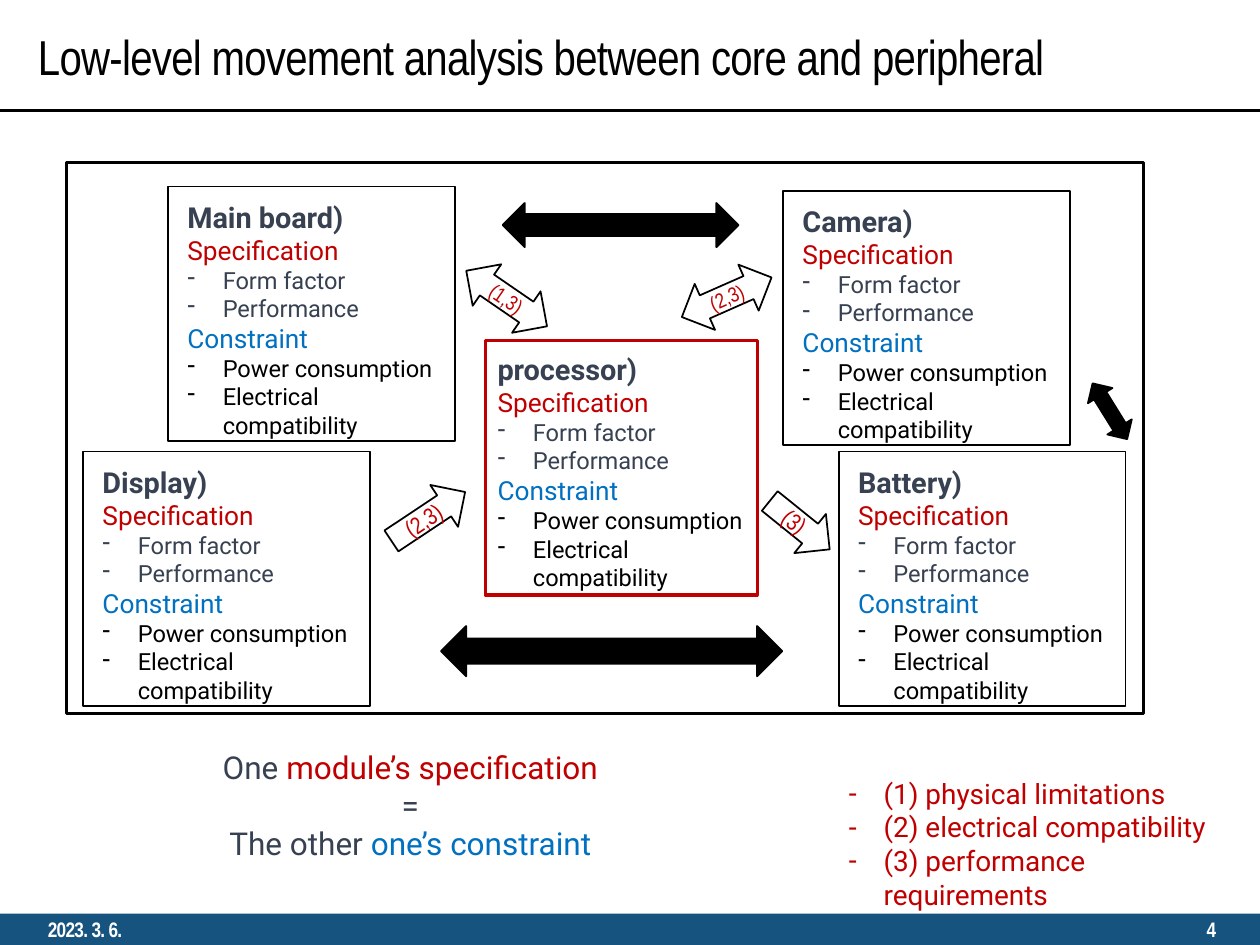
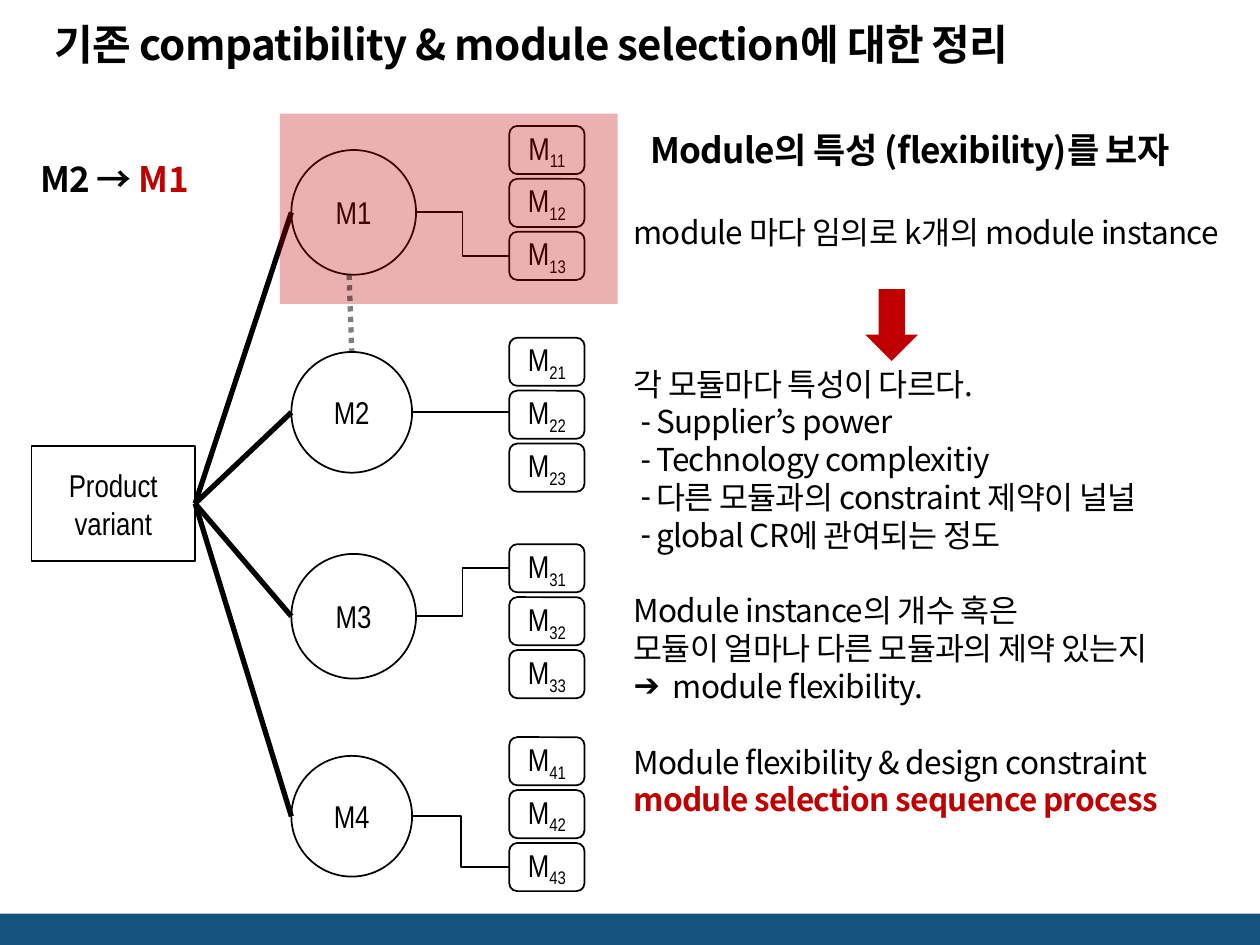
import pptx
import pptx.dml.color
import pptx.enum.dml
import pptx.enum.shapes
import pptx.enum.text
import pptx.oxml.ns
import pptx.util
from lxml import etree

Pt = pptx.util.Pt
SHAPE = pptx.enum.shapes.MSO_SHAPE
CONNECTOR = pptx.enum.shapes.MSO_CONNECTOR
ALIGN = pptx.enum.text.PP_ALIGN
ANCHOR = pptx.enum.text.MSO_ANCHOR

COLORS = {
    "black": "000000", "white": "FFFFFF", "band": "16537F",
    "slate": "374151", "red": "C00000", "blue": "0070C0",
}
NARROW, ROBOTO, KOREAN = "Arial Narrow", "Roboto", "Noto Sans CJK KR"
TITLE_AND_BODY = 1
INSET = (7.2, 3.6)


def rgb(name):
    return pptx.dml.color.RGBColor.from_string(COLORS[name])


def sub(parent, tag, **attributes):
    return etree.SubElement(parent, pptx.oxml.ns.qn(tag), attributes)


def set_alpha(fill_parent, percent):
    color = fill_parent.find(".//" + pptx.oxml.ns.qn("a:srgbClr"))
    sub(color, "a:alpha", val=str(percent * 1000))


def add_text(frame, text, font=NARROW, size=18, color="black", bold=False,
             align=ALIGN.LEFT, before=0, bullet=None, hang=20.25, indent=0,
             tracking=0):
    """Append a paragraph; text is a string or a list of (string, format)."""
    paragraph = frame.paragraphs[0]
    if paragraph.runs:
        paragraph = frame.add_paragraph()
    paragraph.alignment = align
    paragraph.space_before = Pt(before)
    properties = paragraph._p.get_or_add_pPr()
    margin = indent + hang if bullet else 0
    properties.set("marL", str(Pt(margin)))
    properties.set("indent", str(Pt(-hang if bullet else 0)))
    if bullet:
        sub(properties, "a:buChar", char=bullet)
    else:
        sub(properties, "a:buNone")
    for words, special in [(text, {})] if isinstance(text, str) else text:
        run = paragraph.add_run()
        run.text = words
        run.font.name = font
        run.font.size = Pt(size)
        run.font.bold = special.get("bold", bold)
        run.font.color.rgb = rgb(special.get("color", color))
        run_properties = run.font._element
        sub(run_properties, "a:ea", typeface=font)
        if tracking:
            run_properties.set("spc", str(round(tracking * 100)))
        if "baseline" in special:
            run_properties.set("baseline", str(special["baseline"] * 1000))


class Deck:
    def __init__(self):
        self.file = pptx.Presentation()
        self.file.slide_width, self.file.slide_height = Pt(720), Pt(540)
        self.slide = None

    def new_slide(self):
        layout = self.file.slide_layouts[TITLE_AND_BODY]
        self.slide = self.file.slides.add_slide(layout)
        self.shape(SHAPE.RECTANGLE, 0, 522, 720, 18, fill="band", line=None)

    def frame(self, holder, inset=INSET, anchor=ANCHOR.TOP, wrap=True):
        frame = holder.text_frame
        frame.margin_left = frame.margin_right = Pt(inset[0])
        frame.margin_top = frame.margin_bottom = Pt(inset[1])
        frame.vertical_anchor = anchor
        frame.word_wrap = wrap
        frame.auto_size = pptx.enum.text.MSO_AUTO_SIZE.NONE
        return frame

    def placeholder(self, index, left, top, width, height, **layout):
        holder = self.slide.placeholders[index]
        holder.left, holder.top = Pt(left), Pt(top)
        holder.width, holder.height = Pt(width), Pt(height)
        return self.frame(holder, **layout)

    def title(self, text, left, top, width, height, inset=INSET, **style):
        frame = self.placeholder(0, left, top, width, height, inset=inset,
                                 anchor=ANCHOR.MIDDLE)
        add_text(frame, text, tracking=-0.4, **style)

    def body(self, left, top, width, height, **layout):
        return self.placeholder(1, left, top, width, height, **layout)

    def textbox(self, left, top, width, height, parent=None, **layout):
        box = (parent or self.slide).shapes.add_textbox(
            Pt(left), Pt(top), Pt(width), Pt(height))
        return self.frame(box, **layout)

    def shape(self, kind, left, top, width, height, fill=None, line="black",
              weight=1, alpha=None, rotation=0, parent=None):
        shape = (parent or self.slide).shapes.add_shape(
            kind, Pt(left), Pt(top), Pt(width), Pt(height))
        shape.shadow.inherit = False
        shape.rotation = rotation
        if fill:
            shape.fill.solid()
            shape.fill.fore_color.rgb = rgb(fill)
            if alpha:
                set_alpha(shape._element.spPr, alpha)
        else:
            shape.fill.background()
        if line:
            shape.line.color.rgb = rgb(line)
            shape.line.width = Pt(weight)
        else:
            shape.line.fill.background()
        return shape

    def label(self, shape, *lines, **style):
        frame = self.frame(shape, (0, 0), ANCHOR.MIDDLE, wrap=False)
        for line in lines:
            add_text(frame, line, align=ALIGN.CENTER, **style)

    def connector(self, start, end, weight=1, kind=CONNECTOR.STRAIGHT):
        link = self.slide.shapes.add_connector(
            kind, *(Pt(value) for value in (*start, *end)))
        link.line.color.rgb = rgb("black")
        link.line.width = Pt(weight)
        sub(link._element.spPr, "a:effectLst")
        return link

    def module_card(self, name, left, top, width=164, offset=(4, 4),
                    line="black", weight=1):
        card = self.slide.shapes.add_group_shape()
        self.shape(SHAPE.RECTANGLE, left, top, width, 145.5, line=line,
                   weight=weight, parent=card)
        frame = self.textbox(left + offset[0], top + offset[1], 155.5, 145.5,
                             parent=card)
        add_text(frame, name, font=ROBOTO, size=16.5, color="slate", bold=True)
        for heading, heading_color, items, item_color in MODULE_SECTIONS:
            add_text(frame, heading, font=ROBOTO, size=15, color=heading_color)
            for item in items:
                add_text(frame, item, font=ROBOTO, size=13.5, color=item_color,
                         bullet="-")


MODULE_SECTIONS = [
    ("Specification", "red", ["Form factor", "Performance"], "slate"),
    ("Constraint", "blue", ["Power consumption", "Electrical compatibility"],
     "black"),
]


def movement_slide(deck):
    deck.new_slide()
    deck.title("Low-level movement analysis between core and peripheral",
               14.5, 8.75, 675, 46, size=28)
    deck.connector((0, 63.25), (720, 63.25), weight=2)

    # Footer
    for text, left, align in [("2023. 3. 6.", 20.25, ALIGN.LEFT),
                              ("4", 540, ALIGN.RIGHT)]:
        footer = deck.textbox(left, 522, 162, 18, anchor=ANCHOR.MIDDLE)
        add_text(footer, text, size=12, color="white", bold=True, align=align,
                 tracking=-0.4)

    # Core module and its peripherals
    deck.shape(SHAPE.RECTANGLE, 38, 93, 615.5, 314.75, weight=1.75)
    deck.module_card("processor)", 277.25, 194.5, width=155.5, offset=(0, 3),
                     line="red", weight=1.75)
    for name, left, top in [("Main board)", 96, 106.5), ("Camera)", 447.5, 109),
                            ("Display)", 47.5, 258), ("Battery)", 479.25, 258)]:
        deck.module_card(name, left, top)

    # Relations between core and peripherals
    both, right = SHAPE.LEFT_RIGHT_ARROW, SHAPE.RIGHT_ARROW
    for kind, reasons, left, top, width, rotation, size in [
            (both, "(1,3)", 261.5, 156.25, 56, 34.5, 12),
            (both, "(2,3)", 387.25, 155.5, 56, 336.2, 12),
            (right, "(2,3)", 219.5, 280.75, 50.5, 326.4, 13.5),
            (right, "(3)", 435, 285.75, 44, 38.9, 13.5)]:
        relation = deck.shape(kind, left, top, width, 28.75, rotation=rotation)
        deck.label(relation, reasons, size=size, color="red")

    # Relations among peripherals
    for left, top, width, height, rotation in [
            (287.25, 116, 134.75, 25.25, 0), (252, 357.75, 195, 28.75, 0),
            (615.5, 226.75, 37.5, 16.5, 238.2)]:
        deck.shape(both, left, top, width, height, fill="black",
                   rotation=rotation)

    # Rule and legend
    rule = deck.textbox(38, 424, 393, 73)
    for line in [[("One ", {}), ("module’s specification", {"color": "red"})],
                 "=",
                 [("The other ", {}), ("one’s constraint", {"color": "blue"})]]:
        add_text(rule, line, font=ROBOTO, color="slate", align=ALIGN.CENTER)
    legend = deck.body(477.5, 440, 242.5, 68)
    for reason in ["(1) physical limitations", "(2) electrical compatibility",
                   "(3) performance requirements"]:
        add_text(legend, reason, font=ROBOTO, size=16, color="red", bullet="-")


def selection_slide(deck):
    deck.new_slide()
    deck.title("기존 compatibility & module selection에 대한 정리",
               31, 10.75, 565, 29, inset=(0, 0), font=KOREAN, size=24, bold=True)

    # Product variant, its modules and their instances
    product = deck.shape(SHAPE.RECTANGLE, 18, 255, 93.5, 65.5)
    deck.label(product, "Product", "variant")
    module_left, instance_left, instance_height = 166.5, 291, 27.5
    circles = []
    for number, (diameter, first_top, chosen) in enumerate(
            [(71.25, 72, 3), (69, 193, 2), (71.25, 311, 1), (69, 421.25, 3)], 1):
        top = 85.75 + 115.4 * (number - 1)
        middle = top + diameter / 2
        circle = deck.shape(SHAPE.OVAL, module_left, top, diameter, diameter)
        deck.label(circle, f"M{number}")
        circles.append(circle)
        branch = deck.connector((111.5, 287.75), (module_left, middle), weight=3)
        branch.begin_connect(product, 3)
        for k in range(1, 4):
            instance_top = first_top + 30.25 * (k - 1)
            instance = deck.shape(SHAPE.ROUNDED_RECTANGLE, instance_left,
                                  instance_top, 43, instance_height,
                                  fill="white")
            deck.label(instance, [("M", {}), (f"{number}{k}", {"baseline": -25})])
            if k == chosen:
                target = instance_top + instance_height / 2
                if abs(target - middle) < 2:
                    target = middle
                deck.connector((module_left + diameter, middle),
                               (instance_left, target), kind=CONNECTOR.ELBOW)

    # Dependency of M1 on M2
    deck.shape(SHAPE.RECTANGLE, 160, 65, 193, 108.75, fill="red", line=None,
               alpha=31)
    dependency = deck.connector((199.5, 157), (201, 201.5), weight=3)
    dependency.end_connect(circles[1], 0)
    dependency.line.dash_style = pptx.enum.dml.MSO_LINE.ROUND_DOT
    set_alpha(dependency._element.spPr, 49)
    korean = {"font": KOREAN, "tracking": -0.4}
    order = deck.textbox(23, 90, 93.5, 24.5, inset=(0, 0))
    add_text(order, [("M2 → ", {}), ("M1", {"color": "red"})], size=20,
             bold=True, **korean)

    # Module flexibility
    heading = deck.textbox(371.5, 73.5, 307.5, 24.5, inset=(0, 0))
    add_text(heading, "Module의 특성 (flexibility)를 보자", size=20, bold=True,
             **korean)
    deck.shape(SHAPE.RIGHT_ARROW, 489, 170.75, 41, 30, fill="red", line=None,
               rotation=90)
    notes = deck.body(362, 121.75, 348, 349, inset=(0, 0))
    add_text(notes, "module 마다 임의로 k개의 module instance", **korean)
    add_text(notes, "각 모듈마다 특성이 다르다.", before=65, **korean)
    for trait in ["Supplier’s power", "Technology complexitiy",
                  "다른 모듈과의 constraint 제약이 널널",
                  "global CR에 관여되는 정도"]:
        add_text(notes, trait, bullet="-", indent=4, hang=9, **korean)
    add_text(notes, "Module instance의 개수 혹은", before=21.6, **korean)
    add_text(notes, "모듈이 얼마나 다른 모듈과의 제약 있는지", **korean)
    add_text(notes, "module flexibility.", bullet="➔", hang=22.5, **korean)
    add_text(notes, "Module flexibility & design constraint", before=21.6,
             **korean)
    add_text(notes, "module selection sequence process", color="red", bold=True,
             **korean)


def main():
    deck = Deck()
    movement_slide(deck)
    selection_slide(deck)
    deck.file.save("out.pptx")


if __name__ == "__main__":
    main()
